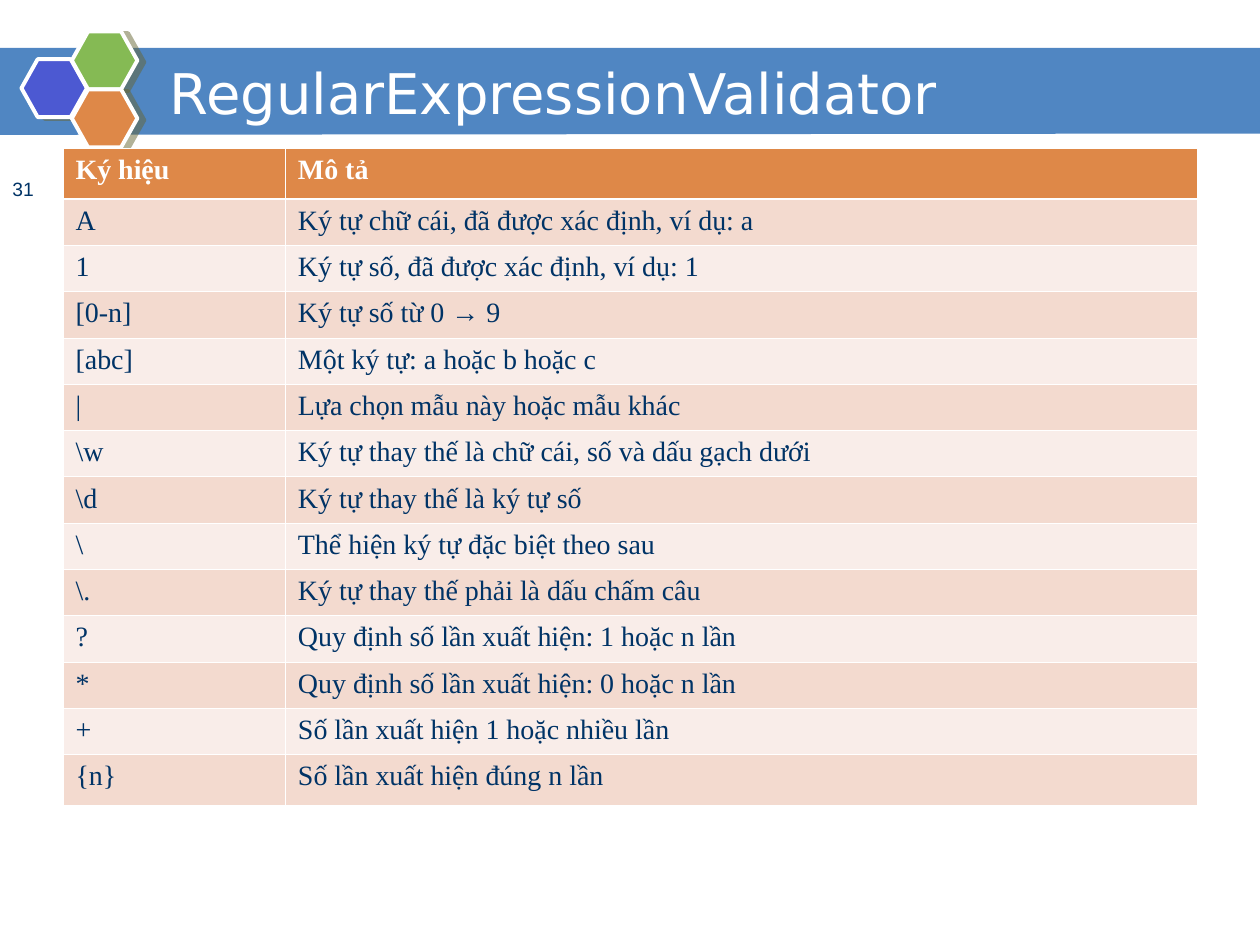
from collections import namedtuple

from lxml import etree
from pptx import Presentation
from pptx.dml.color import RGBColor
from pptx.enum import shapes, text
from pptx.oxml import ns
from pptx.util import Inches, Pt

COLORS = {
    "band": "5086C2", "blue": "4C59D2", "green": "85BA54", "orange": "DE8848",
    "white": "FFFFFF", "navy": "003366", "shadow": "666633",
    "odd_row": "F3DACF", "even_row": "F9EDE9",
}
COLUMNS, ROWS = 100, 75  # page grid
CELL = Inches(0.1)
Box = namedtuple("Box", "left top width height")

HEADER = ("Ký hiệu", "Mô tả")
SYMBOLS = [
    ("A", "Ký tự chữ cái, đã được xác định, ví dụ: a"),
    ("1", "Ký tự số, đã được xác định, ví dụ: 1"),
    ("[0-n]", "Ký tự số từ 0 → 9"),
    ("[abc]", "Một ký tự: a hoặc b hoặc c"),
    ("|", "Lựa chọn mẫu này hoặc mẫu khác"),
    ("\\w", "Ký tự thay thế là chữ cái, số và dấu gạch dưới"),
    ("\\d", "Ký tự thay thế là ký tự số"),
    ("\\", "Thể hiện ký tự đặc biệt theo sau"),
    ("\\.", "Ký tự thay thế phải là dấu chấm câu"),
    ("?", "Quy định số lần xuất hiện: 1 hoặc n lần"),
    ("*", "Quy định số lần xuất hiện: 0 hoặc n lần"),
    ("+", "Số lần xuất hiện 1 hoặc nhiều lần"),
    ("{n}", "Số lần xuất hiện đúng n lần"),
]


def grid(count):
    return round(count * CELL)


def place(box):
    return [grid(value) for value in box]


def color(name):
    return RGBColor.from_string(COLORS[name])


def write(frame, content, font, size, tint, bold=False, spacing=None,
          anchor=text.MSO_ANCHOR.TOP):
    frame.word_wrap = True
    frame.vertical_anchor = anchor
    para = frame.paragraphs[0]
    if spacing:
        para.line_spacing = spacing
    span = para.add_run()
    span.text = content
    span.font.name = font
    span.font.size = Pt(size)
    span.font.bold = bold
    span.font.color.rgb = color(tint)


def add_solid(parent, tint):
    fill = etree.SubElement(parent, ns.qn("a:solidFill"))
    return etree.SubElement(fill, ns.qn("a:srgbClr"), val=COLORS[tint])


def add_shadow(shape):
    shape.shadow.inherit = False
    effects = shape._element.spPr.find(ns.qn("a:effectLst"))
    shadow = etree.SubElement(effects, ns.qn("a:outerShdw"), blurRad="0",
                              dist=str(Pt(4.1)), dir=str(14 * 60000),
                              algn="ctr", rotWithShape="0")
    tone = etree.SubElement(shadow, ns.qn("a:srgbClr"), val=COLORS["shadow"])
    etree.SubElement(tone, ns.qn("a:alpha"), val="50000")


def add_border(cell, side, width):
    # Borders must stand before the fill, in the order L, R, T, B
    properties = cell._tc.get_or_add_tcPr()
    line = etree.Element(ns.qn(f"a:ln{side}"), w=str(Pt(width)))
    add_solid(line, "white")
    properties.insert("LRTB".index(side), line)


def add_band(page, box):
    left, top, width, height = place(box)
    right, bottom = left + width, top + height
    builder = page.shapes.build_freeform(left, top)
    builder.add_line_segments([(right, top), (right, bottom - grid(0.1)),
                               (left, bottom)])
    band = builder.convert_to_shape()
    band.shadow.inherit = False
    band.fill.solid()
    band.fill.fore_color.rgb = color("band")
    band.line.fill.background()


def add_hexagons(page, box):
    # Two cells stacked on the right, one halfway between them on the left
    width, height = 5.2, box.height / 2
    right = box.left + box.width - width
    cells = [("blue", box.left, box.top + height / 2 - 0.1),
             ("green", right, box.top),
             ("orange", right, box.top + height)]
    for tint, left, top in cells:
        hexagon = page.shapes.add_shape(shapes.MSO_SHAPE.HEXAGON,
                                        *place((left, top, width, height)))
        hexagon.adjustments[0] = 0.28
        hexagon.fill.solid()
        hexagon.fill.fore_color.rgb = color(tint)
        hexagon.line.color.rgb = color("white")
        hexagon.line.width = Pt(2.25)
        add_shadow(hexagon)


def add_title(page, box):
    title = page.shapes.add_textbox(*place(box))
    write(title.text_frame, "RegularExpressionValidator", font="DejaVu Sans",
          size=32, tint="white", anchor=text.MSO_ANCHOR.MIDDLE)


def add_symbol_table(page, box):
    lines = [HEADER] + SYMBOLS
    last = len(lines) - 1
    table = page.shapes.add_table(len(lines), len(HEADER), *place(box)).table
    symbol_width, edge_height = 17.65, 4
    inner_height = (box.height - 2 * edge_height) / (last - 1)
    table.columns[0].width = grid(symbol_width)
    table.columns[1].width = grid(box.width - symbol_width)

    for row, line in enumerate(lines):
        is_header = row == 0
        table.rows[row].height = grid(edge_height if row in (0, last)
                                      else inner_height)
        fill = "orange" if is_header else "odd_row" if row % 2 else "even_row"
        for column, content in enumerate(line):
            cell = table.cell(row, column)
            write(cell.text_frame, content, font="Times New Roman", size=16,
                  tint="white" if is_header else "navy", bold=is_header)
            cell.fill.solid()
            cell.fill.fore_color.rgb = color(fill)
            for side in "LRTB":
                under_header = (row, side) in ((0, "B"), (1, "T"))
                add_border(cell, side, 1.47 if under_header else 0.45)


def add_page_number(page, box):
    number = page.shapes.add_textbox(*place(box))
    write(number.text_frame, "31", font="Arial", size=11, tint="navy",
          spacing=0.8)


def main():
    deck = Presentation()
    deck.slide_width, deck.slide_height = grid(COLUMNS), grid(ROWS)
    page = deck.slides.add_slide(deck.slide_layouts[6])
    add_band(page, Box(-0.1, 3.8, COLUMNS + 0.1, 6.9))
    add_hexagons(page, Box(1.7, 2.5, 9.2, 9.2))
    add_title(page, Box(12.5, 4.2, 73.3, 6.2))
    add_symbol_table(page, Box(5, 11.8, 90, 52.1))
    add_page_number(page, Box(0, 13.9, 5.8, 2.7))
    deck.save("out.pptx")


if __name__ == "__main__":
    main()
